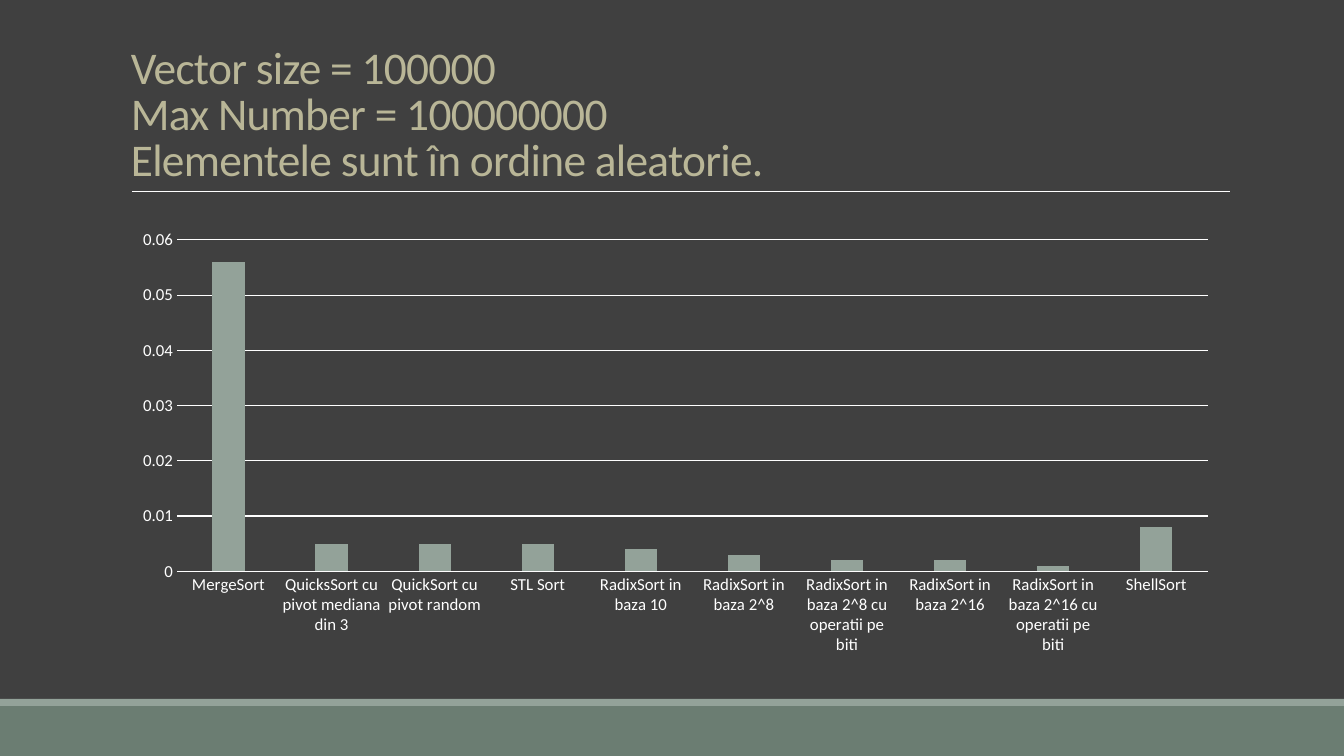
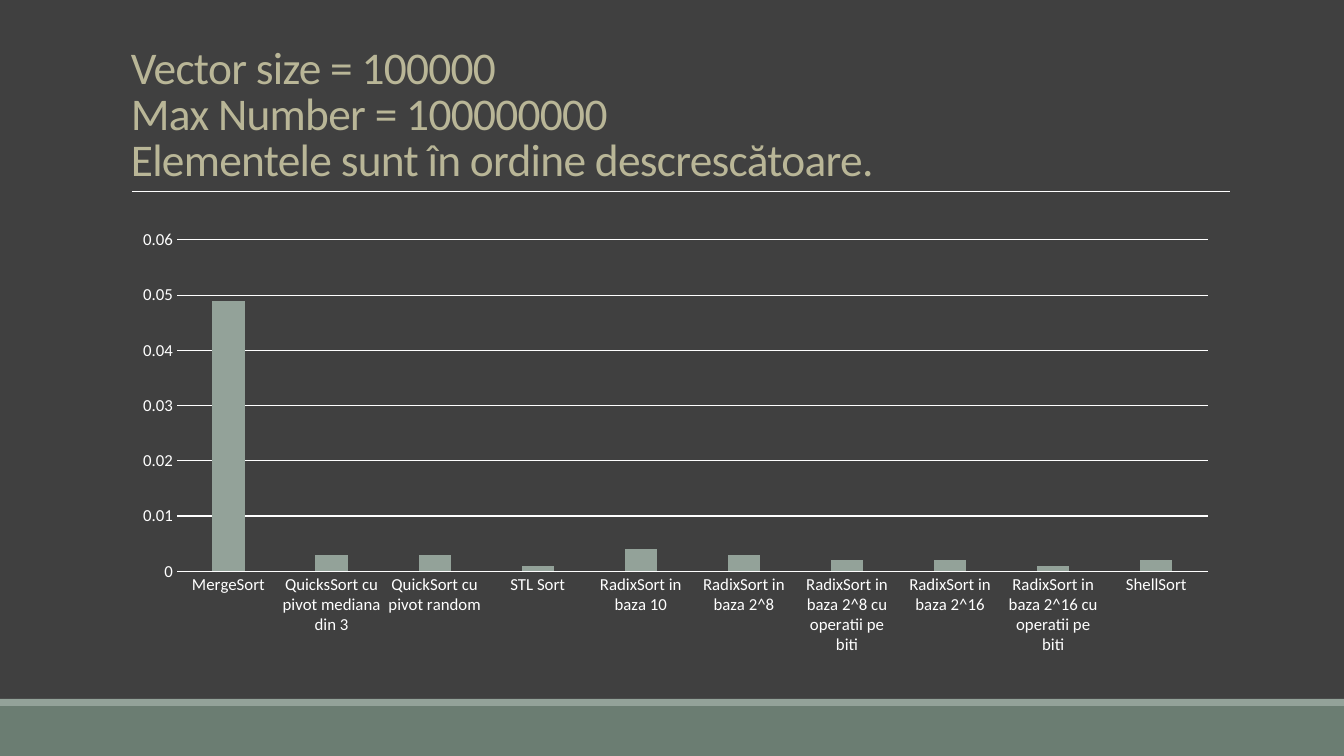
from lxml import etree
from pptx import Presentation
from pptx import util as u
from pptx.chart.data import CategoryChartData
from pptx.dml.color import RGBColor
from pptx.enum import chart as ch, shapes, text
from pptx.oxml.ns import qn

# Content
SORTS = [
    "MergeSort", "QuicksSort cu pivot mediana din 3", "QuickSort cu pivot random",
    "STL Sort", "RadixSort in baza 10", "RadixSort in baza 2^8",
    "RadixSort in baza 2^8 cu operatii pe biti", "RadixSort in baza 2^16",
    "RadixSort in baza 2^16 cu operatii pe biti", "ShellSort",
]
SETUP = ["Vector size = 100000", "Max Number = 100000000"]
SLIDES = [
    ("Elementele sunt în ordine aleatorie.",
     [0.056, 0.005, 0.005, 0.005, 0.004, 0.003, 0.002, 0.002, 0.001, 0.008]),
    ("Elementele sunt în ordine descrescătoare.",
     [0.049, 0.003, 0.003, 0.001, 0.004, 0.003, 0.002, 0.002, 0.001, 0.002]),
]

# Shared style, lengths in px
FONT = "Calibri"
BACK, BAND, ACCENT, TITLE, WHITE = "404040", "6B7D72", "93A299", "B9B697", "FFFFFF"
WIDTH, HEIGHT = 1344, 756
BANDS = [(706, 50, BAND), (699, 7, ACCENT)]
LEFT, BODY_WIDTH = 121, 1109
TITLE_TOP, RULE_Y = 31, 191
RULE_LEFT, RULE_RIGHT = 132, 1230
CHART_TOP, CHART_HEIGHT = 221, 443


def px(n):
    return round(n * 914400 / 100.8)


def rgb(value):
    return RGBColor.from_string(value)


def style_font(font, size, color):
    font.name = FONT
    font.size = u.Pt(size)
    font.color.rgb = rgb(color)


def style_line(line, width):
    line.color.rgb = rgb(WHITE)
    line.width = u.Pt(width)


def add_frame(s):
    """Background, bottom bands and the rule under the title."""
    s.background.fill.solid()
    s.background.fill.fore_color.rgb = rgb(BACK)
    for top, height, color in BANDS:
        sp = s.shapes.add_shape(shapes.MSO_SHAPE.RECTANGLE,
                                0, px(top), px(WIDTH), px(height))
        sp.shadow.inherit = False
        sp.fill.solid()
        sp.fill.fore_color.rgb = rgb(color)
        sp.line.fill.background()
    rule = s.shapes.add_connector(shapes.MSO_CONNECTOR.STRAIGHT, px(RULE_LEFT),
                                  px(RULE_Y), px(RULE_RIGHT), px(RULE_Y))
    style_line(rule.line, 0.5)
    etree.SubElement(rule._element.spPr, qn("a:effectLst"))


def add_title(s, lines):
    tf = s.shapes.add_textbox(px(LEFT), px(TITLE_TOP), px(BODY_WIDTH),
                              px(RULE_Y - TITLE_TOP)).text_frame
    tf.word_wrap = True
    tf.vertical_anchor = text.MSO_ANCHOR.BOTTOM
    p = tf.paragraphs[0]
    p.text = "\v".join(lines)
    p.line_spacing = 0.85
    style_font(p.font, 32.4, TITLE)
    for r in p.runs:
        r._r.get_or_add_rPr().set("spc", "-50")


def add_bars(s, values):
    data = CategoryChartData()
    data.categories = SORTS
    data.add_series("Series 1", values)
    chart = s.shapes.add_chart(ch.XL_CHART_TYPE.COLUMN_CLUSTERED, px(LEFT),
                               px(CHART_TOP), px(BODY_WIDTH), px(CHART_HEIGHT),
                               data).chart
    chart.has_legend = chart.has_title = False
    style_font(chart.font, 10, WHITE)

    # Bars
    plot = chart.plots[0]
    plot.vary_by_categories = False
    plot.gap_width, plot.overlap = 219, -27
    fill = plot.series[0].format.fill
    fill.solid()
    fill.fore_color.rgb = rgb(ACCENT)

    # Axes
    for axis in (chart.category_axis, chart.value_axis):
        axis.major_tick_mark = axis.minor_tick_mark = ch.XL_TICK_MARK.NONE
        style_font(axis.tick_labels.font, 12, WHITE)
    style_line(chart.category_axis.format.line, 0.75)
    scale = chart.value_axis
    scale.minimum_scale, scale.maximum_scale, scale.major_unit = 0, 0.06, 0.01
    scale.tick_labels.number_format = "General"
    scale.tick_labels.number_format_is_linked = False
    scale.format.line.fill.background()
    style_line(scale.major_gridlines.format.line, 0.75)


def main():
    prs = Presentation()
    prs.slide_width, prs.slide_height = px(WIDTH), px(HEIGHT)
    for order, values in SLIDES:
        s = prs.slides.add_slide(prs.slide_layouts[6])
        add_frame(s)
        add_title(s, SETUP + [order])
        add_bars(s, values)
    prs.save("out.pptx")


if __name__ == "__main__":
    main()
